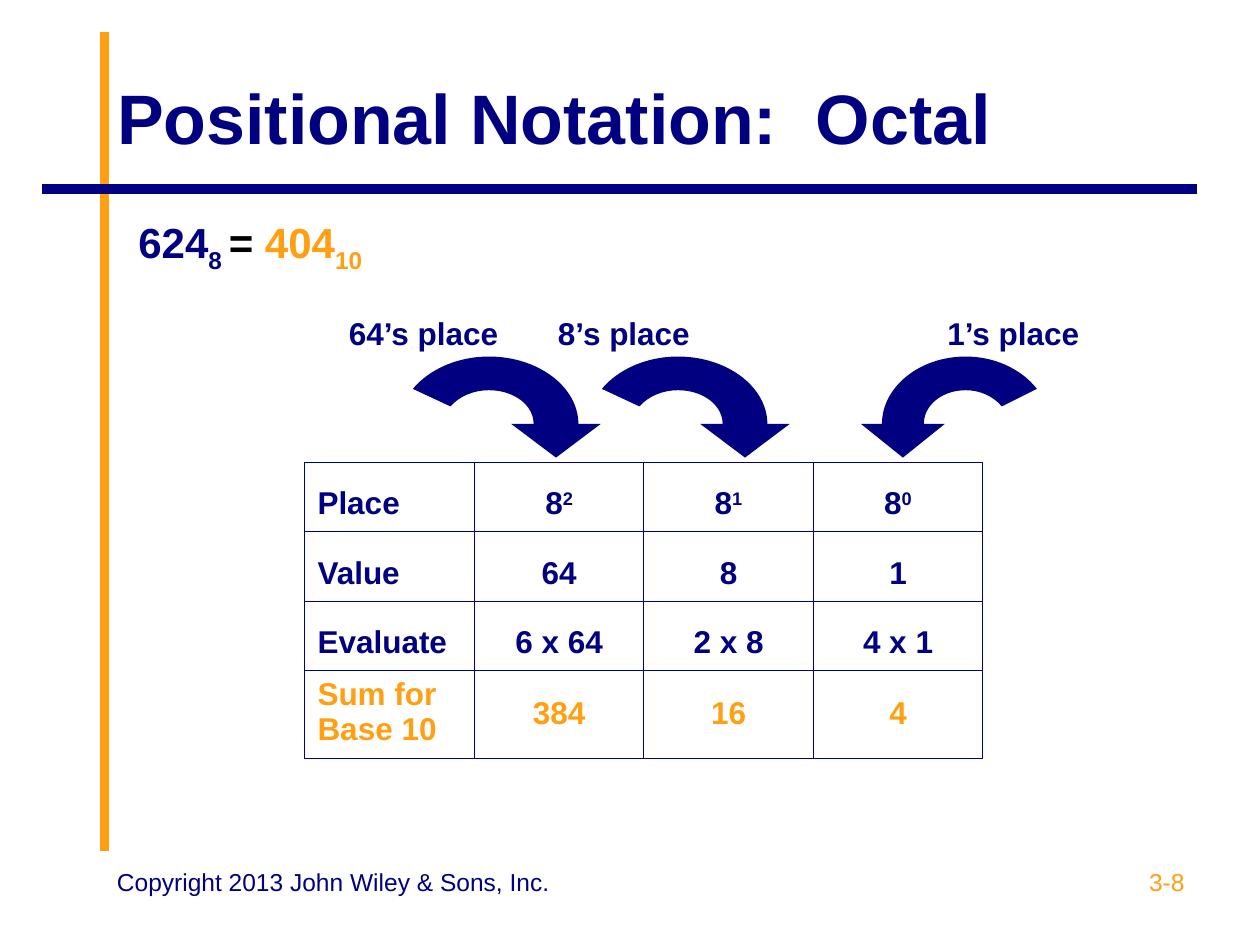
from typing import NamedTuple

from lxml import etree
from pptx import Presentation
from pptx.dml.color import RGBColor
from pptx.enum.shapes import MSO_CONNECTOR
from pptx.enum.text import MSO_ANCHOR, PP_ALIGN
from pptx.oxml.ns import qn
from pptx.util import Inches, Pt

NAVY = RGBColor(0x00, 0x00, 0x80)
ORANGE = RGBColor(0xFF, 0x9F, 0x11)
BLACK = RGBColor(0, 0, 0)
STRAIGHT = MSO_CONNECTOR.STRAIGHT
LEFT, CENTER, RIGHT = PP_ALIGN.LEFT, PP_ALIGN.CENTER, PP_ALIGN.RIGHT
TOP, MIDDLE = MSO_ANCHOR.TOP, MSO_ANCHOR.MIDDLE
SUBSCRIPT, SUPERSCRIPT = -25, 30
TABLE_WIDTH = 5.38
ROW_HEIGHTS = (0.55, 0.55, 0.55, 0.7)
ARROW_TOP, ARROW_HEIGHT = 2.83, 1.07
ARROW_OUTLINE = (
    ("moveTo", [(50, 100)]),
    ("cubicBezTo", [(50, 72), (28, 50), (0, 50)]),
    ("cubicBezTo", [(-17, 50), (-33, 59), (-43, 74)]),
    ("lnTo", [(-85, 48)]),
    ("cubicBezTo", [(-66, 18), (-34, 0), (0, 0)]),
    ("cubicBezTo", [(55, 0), (100, 45), (100, 100)]),
    ("lnTo", [(125, 100)]),
    ("lnTo", [(75, 150)]),
    ("lnTo", [(25, 100)]),
    ("close", []),
)


class Span(NamedTuple):
    text: str
    color: RGBColor = NAVY
    baseline: int = 0


class Rule(NamedTuple):
    start: tuple[float, float]
    end: tuple[float, float]
    color: RGBColor


class Place(NamedTuple):
    label: str
    label_left: float
    label_width: float
    arrow_left: float
    arrow_width: float
    direction: int


RULES = (
    Rule((0.83, 6.75), (0.83, 0.25), ORANGE),
    Rule((9.5, 1.5), (0.33, 1.5), NAVY),
)
PLACES = (
    Place("64’s place", 2.67, 1.67, 3.17, 1.42, 1),
    Place("8’s place", 4.33, 1.67, 4.67, 1.42, 1),
    Place("1’s place", 7.42, 1.42, 7, 1.33, -1),
)
ROWS = (
    ([Span("Place")], *([Span("8"), Span(power, baseline=SUPERSCRIPT)] for power in "210")),
    tuple([Span(text)] for text in ("Value", "64", "8", "1")),
    tuple([Span(text)] for text in ("Evaluate", "6 x 64", "2 x 8", "4 x 1")),
    tuple([Span(text, ORANGE)] for text in ("Sum for Base 10", "384", "16", "4")),
)


def write_text(frame, spans: list[Span], *, size: int = 18, bold: bool = True,
               align=LEFT, spacing: float = 1.0) -> None:
    frame.word_wrap = True
    para = frame.paragraphs[0]
    para.alignment = align
    para.line_spacing = spacing
    para.space_before = Pt(0)
    for piece in spans:
        span = para.add_run()
        span.text = piece.text
        span.font.name = "Arial"
        span.font.size = Pt(size)
        span.font.bold = bold
        span.font.color.rgb = piece.color
        if piece.baseline:
            span.font._element.set("baseline", str(piece.baseline * 1000))


def add_text(parent, left: float, top: float, width: float, height: float,
             spans: list[Span], **text_format) -> None:
    box = parent.shapes.add_textbox(Inches(left), Inches(top), Inches(width), Inches(height))
    box.text_frame.vertical_anchor = TOP
    write_text(box.text_frame, spans, **text_format)


def add_rule(page, rule: Rule) -> None:
    line = page.shapes.add_connector(
        STRAIGHT, *(Inches(value) for value in (*rule.start, *rule.end)))
    line.line.color.rgb = rule.color
    line.line.width = Pt(5.5)
    etree.SubElement(line._element.spPr, qn("a:effectLst"))


def add_arrow(parent, place: Place) -> None:
    left, top = Inches(place.arrow_left), Inches(ARROW_TOP)
    right = left + Inches(place.arrow_width)
    bottom = top + Inches(ARROW_HEIGHT)
    builder = parent.shapes.build_freeform(left, top)
    builder.add_line_segments([(right, top), (right, bottom), (left, bottom)])
    arrow = builder.convert_to_shape()
    outlines = arrow._element.spPr.find(f".//{qn('a:pathLst')}")
    outlines.remove(outlines[0])
    outline = etree.SubElement(outlines, qn("a:path"), w="200", h="200")
    for command, points in ARROW_OUTLINE:
        segment = etree.SubElement(outline, qn(f"a:{command}"))
        for across, down in points:
            etree.SubElement(segment, qn("a:pt"),
                             x=str(100 + place.direction * across), y=str(down))
    arrow.shadow.inherit = False
    arrow.fill.solid()
    arrow.fill.fore_color.rgb = NAVY
    arrow.line.fill.background()


def add_place(page, place: Place) -> None:
    group = page.shapes.add_group_shape()
    add_arrow(group, place)
    add_text(group, place.label_left, 2.44, place.label_width, 0.4, [Span(place.label)])


def add_borders(cell) -> None:
    properties = cell._tc.get_or_add_tcPr()
    for index, side in enumerate(("lnL", "lnR", "lnT", "lnB")):
        border = etree.Element(qn(f"a:{side}"), w=str(Pt(0.75)))
        fill = etree.SubElement(border, qn("a:solidFill"))
        etree.SubElement(fill, qn("a:srgbClr"), val=str(NAVY))
        properties.insert(index, border)


def line_spacing(row_index: int, column_index: int) -> float:
    if row_index < len(ROWS) - 1:
        return 1.5
    return 1.55 if column_index else 1.0


def add_place_table(page) -> None:
    table = page.shapes.add_table(
        len(ROWS), len(ROWS[0]), Inches(2.42), Inches(3.67),
        Inches(TABLE_WIDTH), Inches(sum(ROW_HEIGHTS))).table
    table.first_row = table.horz_banding = False
    for row_index, (row, height) in enumerate(zip(ROWS, ROW_HEIGHTS)):
        table.rows[row_index].height = Inches(height)
        for column_index, spans in enumerate(row):
            cell = table.cell(row_index, column_index)
            cell.fill.background()
            add_borders(cell)
            write_text(cell.text_frame, spans, align=CENTER if column_index else LEFT,
                       spacing=line_spacing(row_index, column_index))


def main() -> None:
    deck = Presentation()
    deck.slide_width, deck.slide_height = Inches(10), Inches(7.5)
    page = deck.slides.add_slide(deck.slide_layouts[5])
    for rule in RULES:
        add_rule(page, rule)

    title = page.shapes.title
    title.left, title.top = Inches(0.83), Inches(0.3)
    title.width, title.height = Inches(8.67), Inches(1.25)
    title.text_frame.vertical_anchor = MIDDLE
    write_text(title.text_frame, [Span("Positional Notation:  Octal")], size=40)

    add_text(page, 1, 1.67, 8.5, 1.06, [
        Span("624"), Span("8 ", baseline=SUBSCRIPT), Span("= ", BLACK),
        Span("404", ORANGE), Span("10", ORANGE, SUBSCRIPT),
    ], size=24)
    add_place_table(page)
    for place in PLACES:
        add_place(page, place)

    add_text(page, 7.17, 6.83, 2.33, 0.52, [Span("3-8", ORANGE)],
             size=14, bold=False, align=RIGHT)
    add_text(page, 0.83, 6.83, 3.67, 0.52, [Span("Copyright 2013 John Wiley & Sons, Inc.")],
             size=14, bold=False)
    deck.save("out.pptx")


if __name__ == "__main__":
    main()
